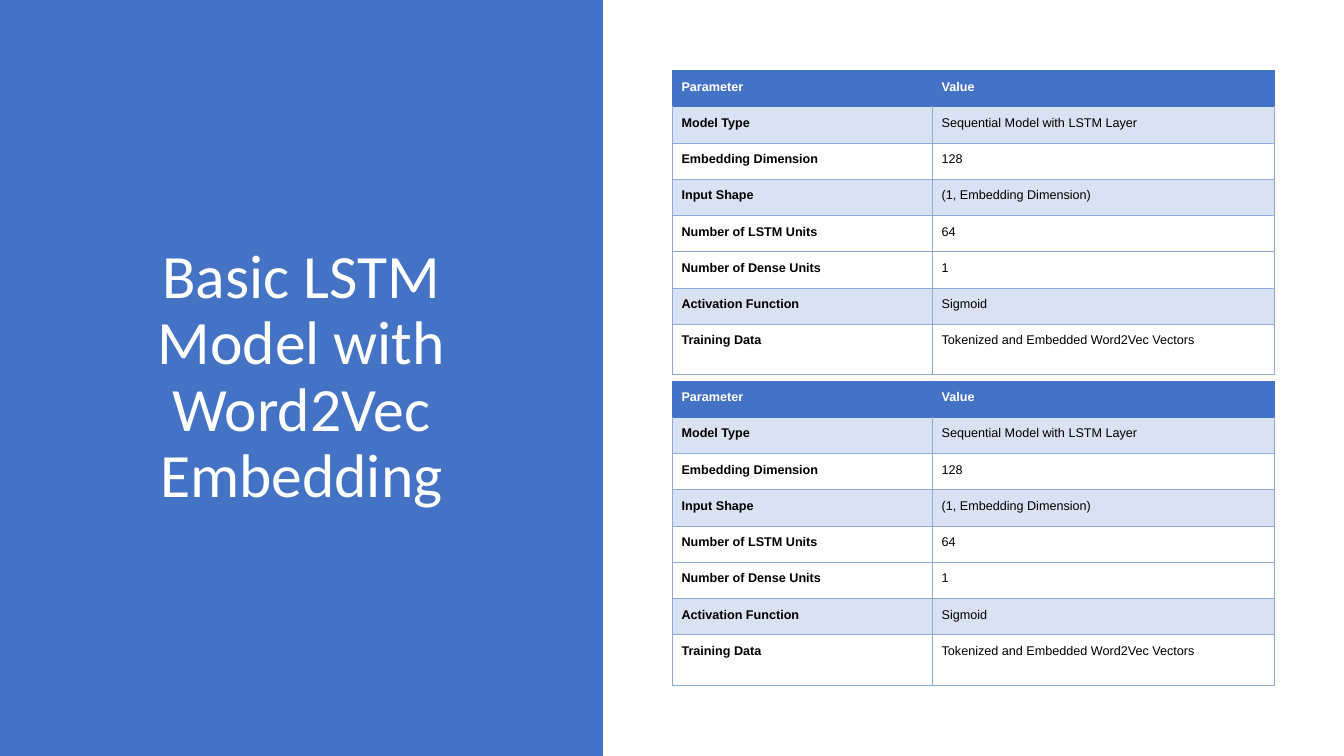
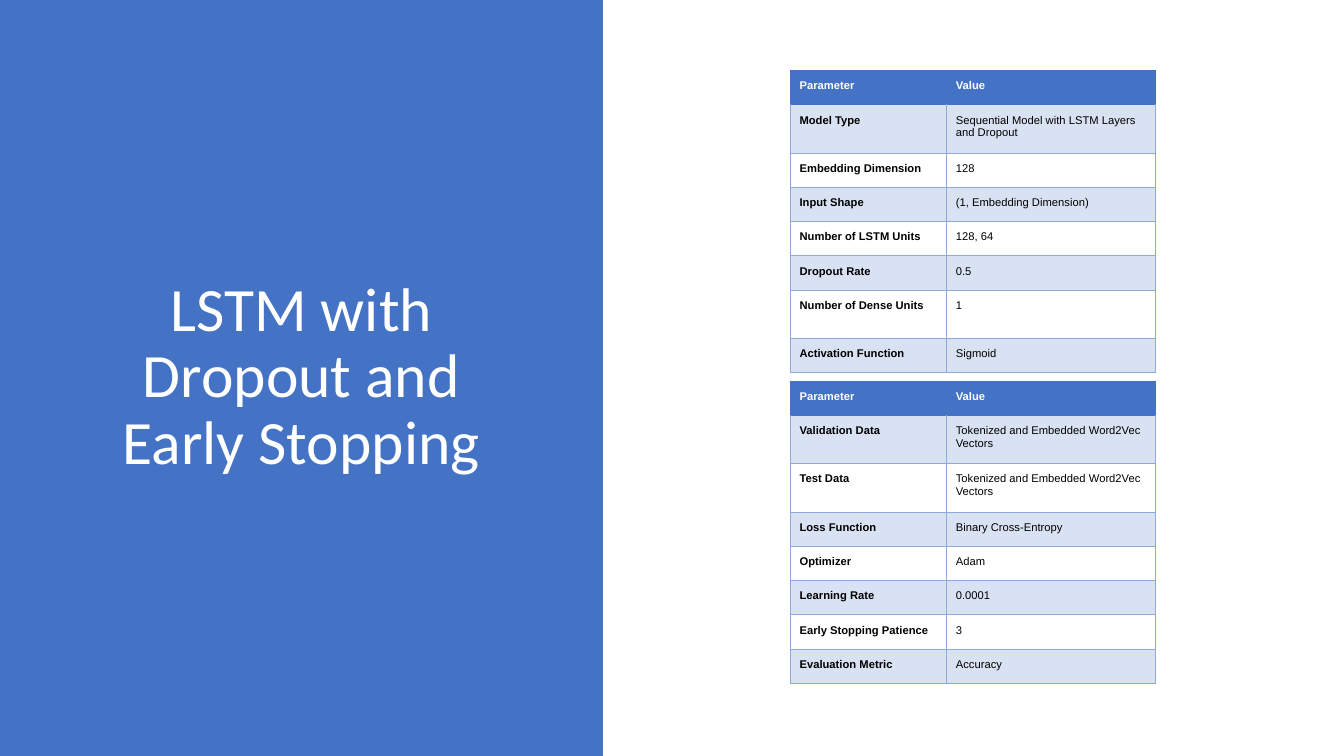
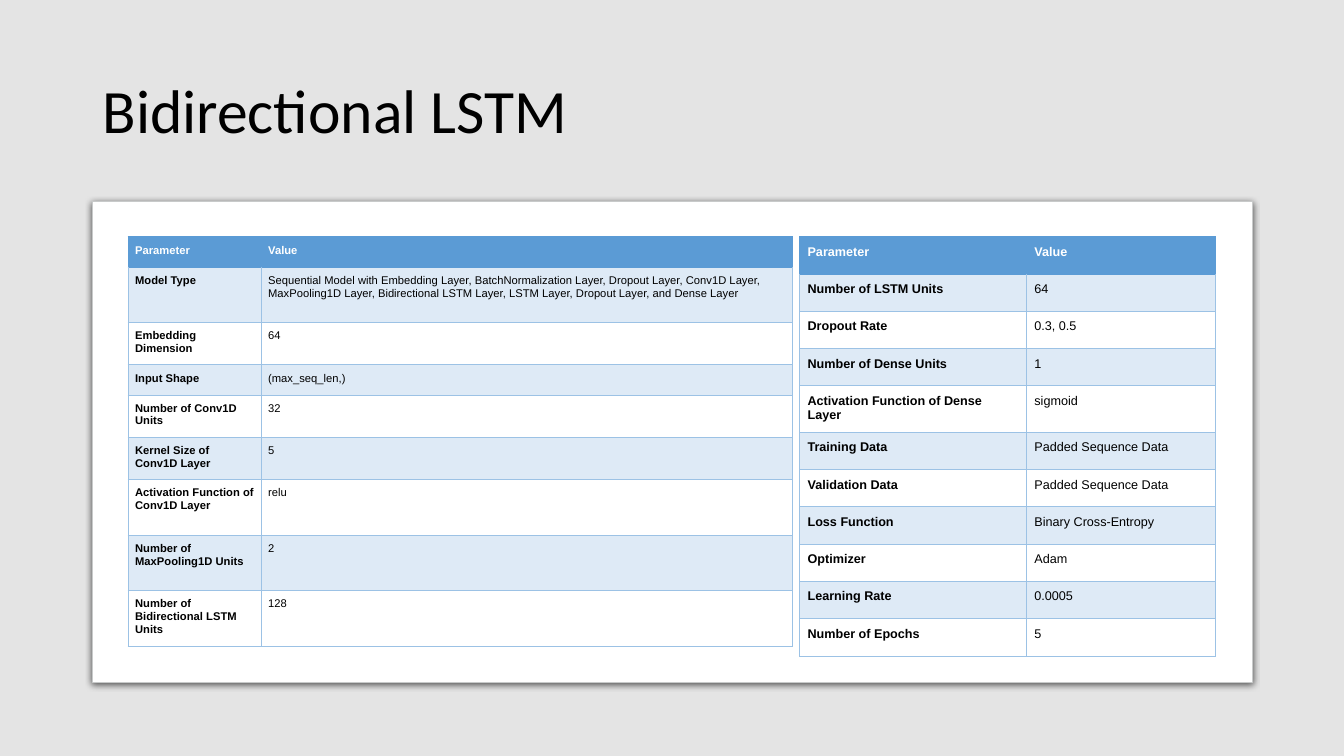
import pptx
import pptx.dml.color
import pptx.enum.shapes
import pptx.enum.text
import pptx.oxml
import pptx.oxml.ns
import pptx.util

Inches = pptx.util.Inches
Pt = pptx.util.Pt
RGBColor = pptx.dml.color.RGBColor
Shapes = pptx.enum.shapes.MSO_SHAPE
Align = pptx.enum.text.PP_ALIGN
NAMESPACE = pptx.oxml.ns.nsdecls("a")

# Shared colours
WHITE = RGBColor(0xFF, 0xFF, 0xFF)
BLACK = RGBColor(0x00, 0x00, 0x00)
PANEL_BLUE = RGBColor(0x44, 0x72, 0xC4)
BACKDROP_GREY = RGBColor(0xD9, 0xD9, 0xD9)
CARD_EDGE = RGBColor(0xC8, 0xCA, 0xCA)
BLUE_THEME = {"header": PANEL_BLUE, "band": RGBColor(0xD9, 0xE2, 0xF3),
              "grid": RGBColor(0x8E, 0xAA, 0xDB)}
SKY_THEME = {"header": RGBColor(0x5B, 0x9B, 0xD5), "band": RGBColor(0xDE, 0xEA, 0xF6),
             "grid": RGBColor(0x9C, 0xC2, 0xE5)}

# Shared formats
TITLE_FONT = {"name": "Calibri", "size": Pt(44), "bold": False}
HEADINGS = ("Parameter", "Value")
ODD_ROWS = (1, 3, 5, 7, 9)


def add_title(page, text, place, color, align):
    box = page.shapes.add_textbox(*map(Inches, place))
    frame = box.text_frame
    frame.word_wrap = True
    frame.vertical_anchor = pptx.enum.text.MSO_ANCHOR.MIDDLE
    para = frame.paragraphs[0]
    para.alignment = align
    para.line_spacing = 0.9
    span = para.add_run()
    span.text = text
    for name, value in TITLE_FONT.items():
        setattr(span.font, name, value)
    span.font.color.rgb = color


def add_parameter_table(page, corner, widths, heights, entries, theme, size, inset, banded=ODD_ROWS):
    rows = [HEADINGS, *entries]
    frame = page.shapes.add_table(len(rows), len(widths), *map(Inches, corner),
                                  Inches(sum(widths)), Inches(sum(heights)))
    table = frame.table
    table.first_row = table.horz_banding = False
    for column, width in zip(table.columns, widths):
        column.width = Inches(width)
    margins = {f"margin_{side}": Inches(inset) for side in ("left", "right", "top", "bottom")}
    for row_index, row in enumerate(rows):
        table.rows[row_index].height = Inches(heights[row_index])
        is_header = row_index == 0
        for column_index, text in enumerate(row):
            cell = table.cell(row_index, column_index)
            for name, value in margins.items():
                setattr(cell, name, value)
            span = cell.text_frame.paragraphs[0].add_run()
            span.text = text
            font = {"name": "Arial", "size": Pt(size), "bold": is_header or column_index == 0}
            for name, value in font.items():
                setattr(span.font, name, value)
            span.font.color.rgb = WHITE if is_header else BLACK
            # Borders come before the fill in the cell properties
            for side in "LRTB":
                in_header = is_header or (row_index == 1 and side == "T")
                color = theme["header" if in_header else "grid"]
                cell._tc.get_or_add_tcPr().append(pptx.oxml.parse_xml(
                    f'<a:ln{side} {NAMESPACE} w="{Pt(0.75)}"><a:solidFill>'
                    f'<a:srgbClr val="{color}"/></a:solidFill></a:ln{side}>'))
            cell.fill.solid()
            if is_header:
                cell.fill.fore_color.rgb = theme["header"]
            else:
                cell.fill.fore_color.rgb = theme["band"] if row_index in banded else WHITE


deck = pptx.Presentation()
deck.slide_width = Inches(13.33)
deck.slide_height = Inches(7.5)
blank = deck.slide_layouts[6]

# Slides with a blue title panel and two stacked tables
basic_entries = [
    ("Model Type", "Sequential Model with LSTM Layer"),
    ("Embedding Dimension", "128"),
    ("Input Shape", "(1, Embedding Dimension)"),
    ("Number of LSTM Units", "64"),
    ("Number of Dense Units", "1"),
    ("Activation Function", "Sigmoid"),
    ("Training Data", "Tokenized and Embedded Word2Vec Vectors"),
]
dropout_model = [
    ("Model Type", "Sequential Model with LSTM Layers and Dropout"),
    ("Embedding Dimension", "128"),
    ("Input Shape", "(1, Embedding Dimension)"),
    ("Number of LSTM Units", "128, 64"),
    ("Dropout Rate", "0.5"),
    ("Number of Dense Units", "1"),
    ("Activation Function", "Sigmoid"),
]
dropout_training = [
    ("Validation Data", "Tokenized and Embedded Word2Vec Vectors"),
    ("Test Data", "Tokenized and Embedded Word2Vec Vectors"),
    ("Loss Function", "Binary Cross-Entropy"),
    ("Optimizer", "Adam"),
    ("Learning Rate", "0.0001"),
    ("Early Stopping Patience", "3"),
    ("Evaluation Metric", "Accuracy"),
]
basic_heights = [0.36] * 7 + [0.5]
panel_slides = [
    {"title": "Basic LSTM Model with Word2Vec Embedding",
     "left": 6.67, "widths": (2.58, 3.39), "size": 9, "banded": (1, 3, 6),
     "tables": [(basic_entries, basic_heights)] * 2},
    {"title": "LSTM with Dropout and Early Stopping",
     "left": 7.84, "widths": (1.55, 2.07), "size": 8, "banded": ODD_ROWS,
     "tables": [(dropout_model, [0.34, 0.48] + [0.34] * 4 + [0.48, 0.34]),
                (dropout_training, [0.34, 0.48, 0.48] + [0.34] * 5)]},
]
for content in panel_slides:
    page = deck.slides.add_slide(blank)
    panel = page.shapes.add_shape(Shapes.RECTANGLE, 0, 0, Inches(5.98), deck.slide_height)
    panel.shadow.inherit = False
    panel.fill.solid()
    panel.fill.fore_color.rgb = PANEL_BLUE
    panel.line.fill.background()
    for top, (entries, heights) in zip((0.7, 3.78), content["tables"]):
        add_parameter_table(page, (content["left"], top), content["widths"], heights, entries,
                            BLUE_THEME, content["size"], 0.09, content["banded"])
    add_title(page, content["title"], (0.68, 0.7, 4.62, 6.1), WHITE, Align.CENTER)

# Bidirectional LSTM: translucent backdrop
page = deck.slides.add_slide(blank)
backdrop = page.shapes.add_shape(Shapes.RECTANGLE, 0, 0, deck.slide_width, deck.slide_height)
backdrop.shadow.inherit = False
backdrop.fill.solid()
backdrop.fill.fore_color.rgb = BACKDROP_GREY
backdrop.line.fill.background()
backdrop_color = backdrop._element.spPr.find(".//" + pptx.oxml.ns.qn("a:srgbClr"))
backdrop_color.append(pptx.oxml.parse_xml(f'<a:alpha {NAMESPACE} val="70000"/>'))

# White card with a soft shadow
card = page.shapes.add_shape(Shapes.ROUNDED_RECTANGLE, *map(Inches, (0.92, 2, 11.5, 4.77)))
card.adjustments[0] = 0
card.fill.solid()
card.fill.fore_color.rgb = WHITE
card.line.color.rgb = CARD_EDGE
card.line.width = Pt(0.75)
card._element.spPr.append(pptx.oxml.parse_xml(
    f'<a:effectLst {NAMESPACE}><a:outerShdw blurRad="{Pt(4.5)}" dist="{Pt(1.5)}" dir="5400000">'
    '<a:srgbClr val="000000"><a:alpha val="63000"/></a:srgbClr></a:outerShdw></a:effectLst>'))

# Title and the two tables side by side
add_title(page, "Bidirectional LSTM", (0.92, 0.4, 11.5, 1.45), BLACK, Align.LEFT)
layer_entries = [
    ("Model Type", "Sequential Model with Embedding Layer, BatchNormalization Layer, Dropout Layer, "
                   "Conv1D Layer, MaxPooling1D Layer, Bidirectional LSTM Layer, LSTM Layer, "
                   "Dropout Layer, and Dense Layer"),
    ("Embedding Dimension", "64"),
    ("Input Shape", "(max_seq_len,)"),
    ("Number of Conv1D Units", "32"),
    ("Kernel Size of Conv1D Layer", "5"),
    ("Activation Function of Conv1D Layer", "relu"),
    ("Number of MaxPooling1D Units", "2"),
    ("Number of Bidirectional LSTM Units", "128"),
]
training_entries = [
    ("Number of LSTM Units", "64"),
    ("Dropout Rate", "0.3, 0.5"),
    ("Number of Dense Units", "1"),
    ("Activation Function of Dense Layer", "sigmoid"),
    ("Training Data", "Padded Sequence Data"),
    ("Validation Data", "Padded Sequence Data"),
    ("Loss Function", "Binary Cross-Entropy"),
    ("Optimizer", "Adam"),
    ("Learning Rate", "0.0005"),
    ("Number of Epochs", "5"),
]
add_parameter_table(page, (1.27, 2.35), (1.32, 5.27),
                    [0.3, 0.55, 0.42, 0.3, 0.42, 0.42, 0.55, 0.55, 0.55],
                    layer_entries, SKY_THEME, 8, 0.07)
add_parameter_table(page, (7.93, 2.35), (2.25, 1.88), [0.37] * 11,
                    training_entries, SKY_THEME, 9, 0.08)

deck.save("out.pptx")
